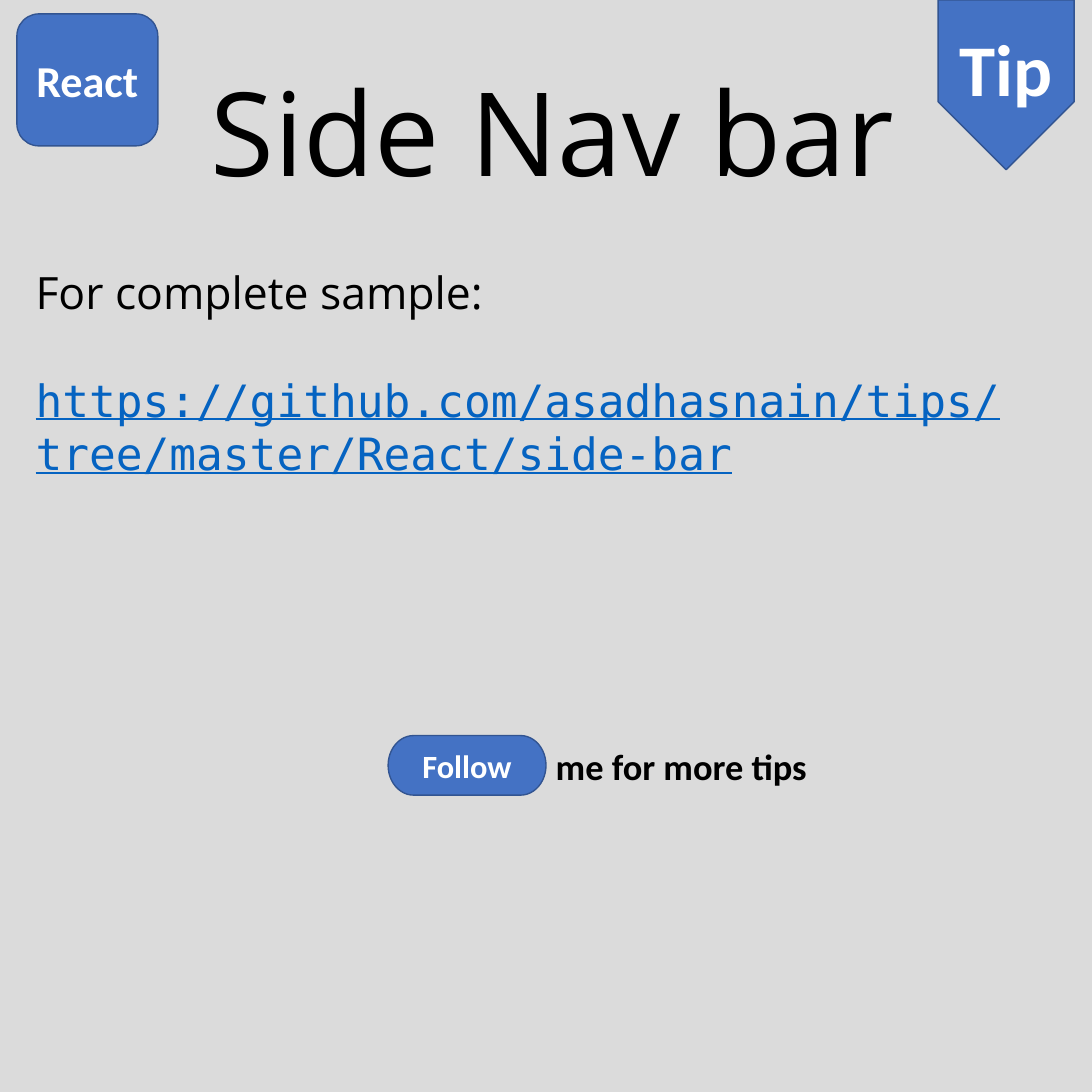
import pptx
import pptx.util
from pptx.dml.color import RGBColor
from pptx.enum.shapes import MSO_SHAPE
from pptx.enum.text import MSO_ANCHOR, MSO_AUTO_SIZE, PP_ALIGN
from pptx.util import Inches

BACKGROUND = RGBColor(0xDB, 0xDB, 0xDB)
BLUE = RGBColor(0x44, 0x72, 0xC4)
OUTLINE = RGBColor(0x32, 0x54, 0x91)
LINK = RGBColor(0x05, 0x63, 0xC1)
BLACK = RGBColor(0, 0, 0)
WHITE = RGBColor(0xFF, 0xFF, 0xFF)

# Content: text, font, size, colour, bold, underline, space before
TITLE = [("Side Nav bar", "Open Sans", 84.3, BLACK, False, False, 0)]
SAMPLE = [
    ("For complete sample:", "Open Sans", 32.3, BLACK, False, False, 0),
    ("https://github.com/asadhasnain/tips/tree/master/React/side-bar",
     "DejaVu Sans Mono", 32.3, LINK, False, True, 39.4),
]
INVITE = [("me for more tips", "Calibri", 26.4, BLACK, True, False, 0)]

# Text boxes: lines, position, alignment, wrap
TEXTS = [
    (TITLE, (1.73, 0.56, 7.68, 1.52), PP_ALIGN.CENTER, True),
    (SAMPLE, (0.26, 2.62, 10.74, 2.82), PP_ALIGN.LEFT, True),
    (INVITE, (5.5, 7.45, 2.76, 0.55), PP_ALIGN.LEFT, False),
]

# Badges: text, size, preset, position, rotation
BADGES = [
    ("Tip", 52.8, MSO_SHAPE.PENTAGON, (9.28, 0.17, 1.71, 1.37), 90),
    ("Follow", 23.5, MSO_SHAPE.FLOWCHART_TERMINATOR, (3.91, 7.41, 1.59, 0.6), 0),
    ("React", 32, MSO_SHAPE.ROUNDED_RECTANGLE, (0.17, 0.14, 1.42, 1.33), 0),
]


def write(frame, lines, alignment):
    for index, (text, name, size, colour, bold, underline, before) in enumerate(lines):
        para = frame.add_paragraph() if index else frame.paragraphs[0]
        para.text = text
        para.alignment = alignment
        if before:
            para.space_before = pptx.util.Pt(before)
        font = para.font
        font.name, font.size = name, pptx.util.Pt(size)
        font.bold, font.underline = bold, underline
        font.color.rgb = colour


def add_text(page, lines, position, alignment, wrap):
    box = page.shapes.add_textbox(*map(Inches, position))
    box.text_frame.word_wrap = wrap
    box.text_frame.auto_size = MSO_AUTO_SIZE.SHAPE_TO_FIT_TEXT
    write(box.text_frame, lines, alignment)


def add_badge(page, text, size, preset, position, rotation):
    badge = page.shapes.add_shape(preset, *map(Inches, position))
    badge.shadow.inherit = False
    badge.rotation = rotation
    badge.fill.solid()
    badge.fill.fore_color.rgb = BLUE
    badge.line.color.rgb = OUTLINE
    badge.line.width = pptx.util.Pt(1)
    frame = badge.text_frame
    frame.vertical_anchor = MSO_ANCHOR.MIDDLE
    if rotation:
        # Keep the words upright inside the turned shape
        frame._txBody.bodyPr.set("vert", "vert270")
    write(frame, [(text, "Calibri", size, WHITE, True, False, 0)], PP_ALIGN.CENTER)


def main():
    deck = pptx.Presentation()
    deck.slide_width = deck.slide_height = Inches(11)
    page = deck.slides.add_slide(deck.slide_layouts[6])
    page.background.fill.solid()
    page.background.fill.fore_color.rgb = BACKGROUND

    # Title, link and invitation
    for text in TEXTS:
        add_text(page, *text)

    # Blue badges
    for badge in BADGES:
        add_badge(page, *badge)

    deck.save("out.pptx")


if __name__ == "__main__":
    main()
